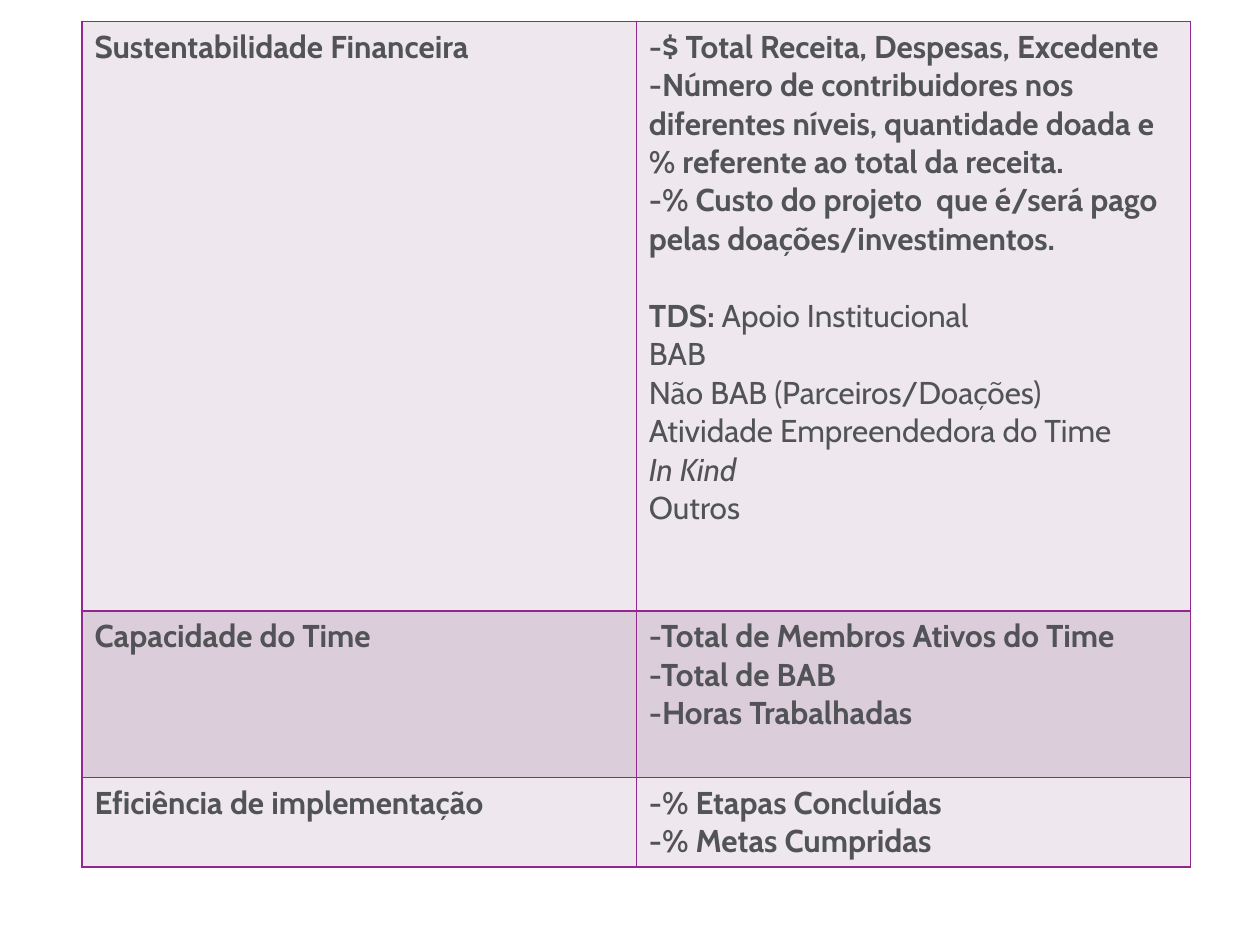
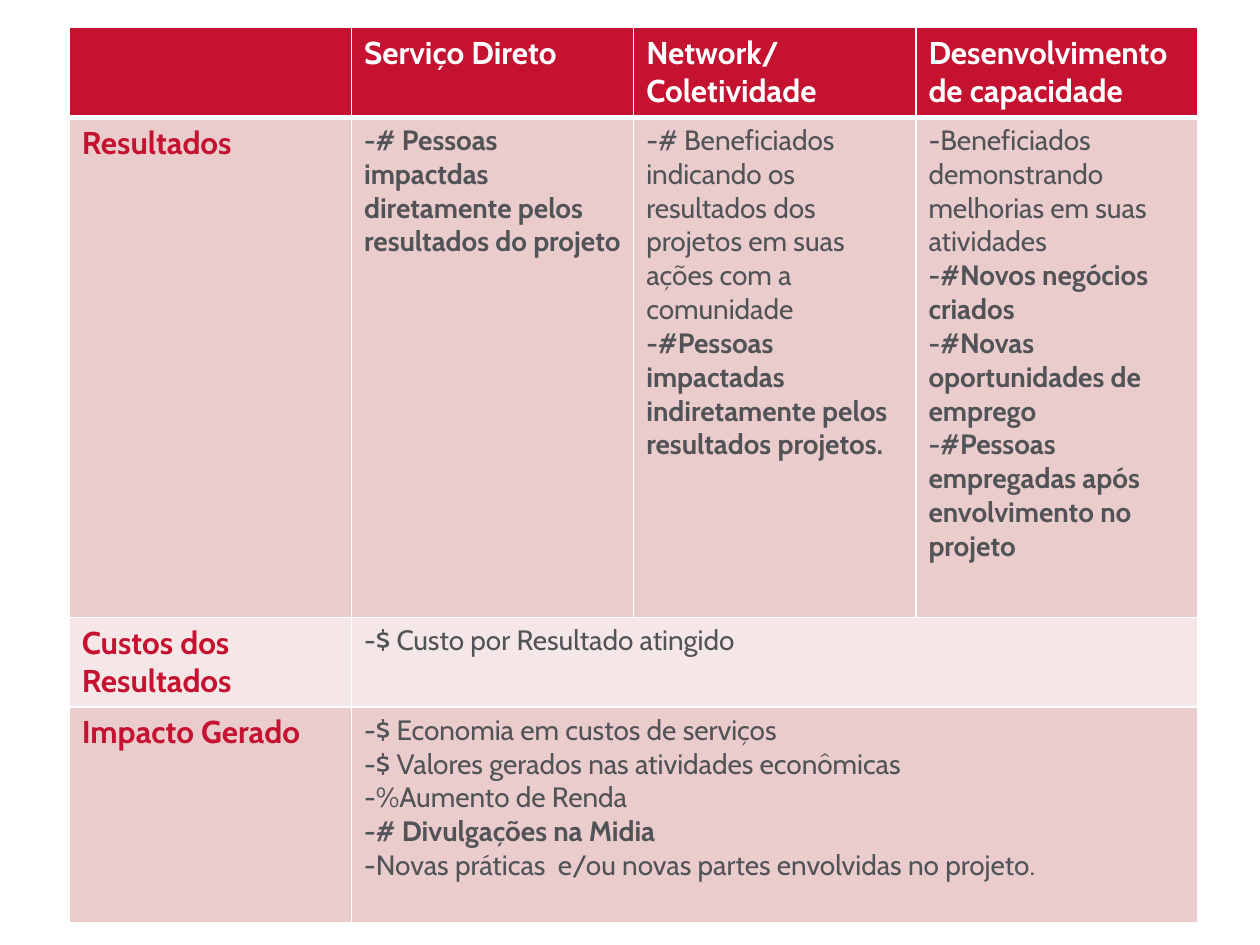
from dataclasses import dataclass, field
from typing import NamedTuple

from lxml import etree
from pptx import Presentation
from pptx.dml.color import RGBColor
from pptx.oxml.ns import qn
from pptx.util import Inches, Pt

# Shared look
FONT = "Cabin"
GREY = RGBColor(0x51, 0x53, 0x56)
WHITE = RGBColor(0xFF, 0xFF, 0xFF)
PURPLE = RGBColor(0x92, 0x27, 0x8F)
LILAC_PALE = RGBColor(0xEE, 0xE8, 0xEE)
LILAC = RGBColor(0xDC, 0xCD, 0xDB)
RED = RGBColor(0xC4, 0x12, 0x30)
ROSE = RGBColor(0xEA, 0xCC, 0xCD)
ROSE_PALE = RGBColor(0xF5, 0xE7, 0xE8)

# Page grid: 100 columns by 75 rows
WIDTH, HEIGHT = Inches(10), Inches(7.5)
COLUMN, ROW = WIDTH / 100, HEIGHT / 75
SIDES = ("L", "R", "T", "B")


class Span(NamedTuple):
    text: str
    bold: bool = True
    italic: bool = False


@dataclass
class Para:
    spans: list[Span]
    space_before: float = 0


@dataclass
class CellText:
    paras: list[Para] = field(default_factory=list)
    size: int = 18
    color: RGBColor = GREY
    columns: int = 1


@dataclass
class TableRow:
    height: float
    fill: RGBColor
    cells: list[CellText]
    bottom_line: float = 1


@dataclass
class TablePage:
    left: float
    top: float
    column_width: float
    column_count: int
    line_color: RGBColor
    rows: list[TableRow]


def bold(*lines: str) -> list[Para]:
    return [Para([Span(line)]) for line in lines]


def plain(*lines: str) -> list[Para]:
    return [Para([Span(line, bold=False)]) for line in lines]


def heading(text: str, color: RGBColor) -> CellText:
    return CellText(bold(text), color=color)


def small(paras: list[Para], columns: int = 1) -> CellText:
    return CellText(paras, size=16, columns=columns)


def draw_borders(cell, color: RGBColor, bottom_line: float) -> None:
    properties = cell._tc.get_or_add_tcPr()
    for position, side in enumerate(SIDES):
        points = bottom_line if side == "B" else 1
        line = etree.Element(qn(f"a:ln{side}"), w=str(Pt(points)))
        solid = etree.SubElement(line, qn("a:solidFill"))
        etree.SubElement(solid, qn("a:srgbClr"), val=str(color))
        properties.insert(position, line)


def write_text(cell, content: CellText) -> None:
    frame = cell.text_frame
    for index, para in enumerate(content.paras):
        paragraph = frame.add_paragraph() if index else frame.paragraphs[0]
        if para.space_before:
            paragraph.space_before = Pt(para.space_before)
        for span in para.spans:
            run = paragraph.add_run()
            run.text = span.text
            run.font.color.rgb = content.color
            formats = {"name": FONT, "size": Pt(content.size),
                       "bold": span.bold, "italic": span.italic}
            for name, value in formats.items():
                setattr(run.font, name, value)


def draw_table(deck, page: TablePage) -> None:
    slide = deck.slides.add_slide(deck.slide_layouts[6])
    total_height = sum(row.height for row in page.rows)
    table = slide.shapes.add_table(
        len(page.rows), page.column_count,
        round(page.left * COLUMN), round(page.top * ROW),
        round(page.column_width * page.column_count * COLUMN),
        round(total_height * ROW)).table
    table.first_row = table.horz_banding = False
    for column in table.columns:
        column.width = round(page.column_width * COLUMN)
    for row_index, row in enumerate(page.rows):
        table.rows[row_index].height = round(row.height * ROW)
        for cell in table.rows[row_index].cells:
            cell.fill.solid()
            cell.fill.fore_color.rgb = row.fill
            draw_borders(cell, page.line_color, row.bottom_line)
        column_index = 0
        for content in row.cells:
            cell = table.cell(row_index, column_index)
            column_index += content.columns
            if content.columns > 1:
                cell.merge(table.cell(row_index, column_index - 1))
            write_text(cell, content)


# Slide 1: team and project indicators
INDICATORS = TablePage(6.5, 1.7, 44, 2, PURPLE, [
    TableRow(46.8, LILAC_PALE, [
        heading("Sustentabilidade Financeira", GREY),
        CellText([
            *bold("-$ Total Receita, Despesas, Excedente",
                  "-Número de contribuidores nos diferentes níveis, "
                  "quantidade doada e % referente ao total da receita.",
                  "-% Custo do projeto  que é/será pago pelas "
                  "doações/investimentos."),
            Para([Span("TDS: "), Span("Apoio Institucional", bold=False)],
                 space_before=22),
            *plain("BAB", "Não BAB (Parceiros/Doações)",
                   "Atividade Empreendedora do Time"),
            Para([Span("In Kind", bold=False, italic=True)]),
            *plain("Outros"),
        ]),
    ]),
    TableRow(13.2, LILAC, [
        heading("Capacidade do Time", GREY),
        CellText(bold("-Total de Membros Ativos do Time", "-Total de BAB",
                      "-Horas Trabalhadas")),
    ]),
    TableRow(7.1, LILAC_PALE, [
        heading("Eficiência de implementação", GREY),
        CellText(bold("-% Etapas Concluídas", "-% Metas Cumpridas")),
    ]),
])

# Slide 2: results by kind of project
RESULTS = TablePage(5.5, 2.2, 22.4, 4, WHITE, [
    TableRow(7.1, RED, [
        CellText(),
        heading("Serviço Direto", WHITE),
        heading("Network/ Coletividade", WHITE),
        heading("Desenvolvimento de capacidade", WHITE),
    ], bottom_line=3),
    TableRow(39.7, ROSE, [
        heading("Resultados", RED),
        small(bold("-# Pessoas impactdas diretamente pelos resultados "
                   "do projeto")),
        small(plain("-# Beneficiados indicando os resultados dos projetos "
                    "em suas ações com a comunidade")
              + bold("-#Pessoas impactadas indiretamente pelos "
                     "resultados projetos.")),
        small(plain("-Beneficiados demonstrando melhorias em suas atividades")
              + bold("-#Novos negócios criados",
                     "-#Novas oportunidades de emprego",
                     "-#Pessoas empregadas após envolvimento no projeto")),
    ]),
    TableRow(7.1, ROSE_PALE, [
        heading("Custos dos Resultados", RED),
        small(plain("-$ Custo por Resultado atingido"), columns=3),
    ]),
    TableRow(17.1, ROSE, [
        heading("Impacto Gerado", RED),
        small(plain("-$ Economia em custos de serviços",
                    "-$ Valores gerados nas atividades econômicas",
                    "-%Aumento de Renda")
              + bold("-# Divulgações na Midia")
              + plain("-Novas práticas  e/ou novas partes envolvidas "
                      "no projeto."), columns=3),
    ]),
])


def main() -> None:
    deck = Presentation()
    deck.slide_width, deck.slide_height = WIDTH, HEIGHT
    for page in (INDICATORS, RESULTS):
        draw_table(deck, page)
    deck.save("out.pptx")


if __name__ == "__main__":
    main()
